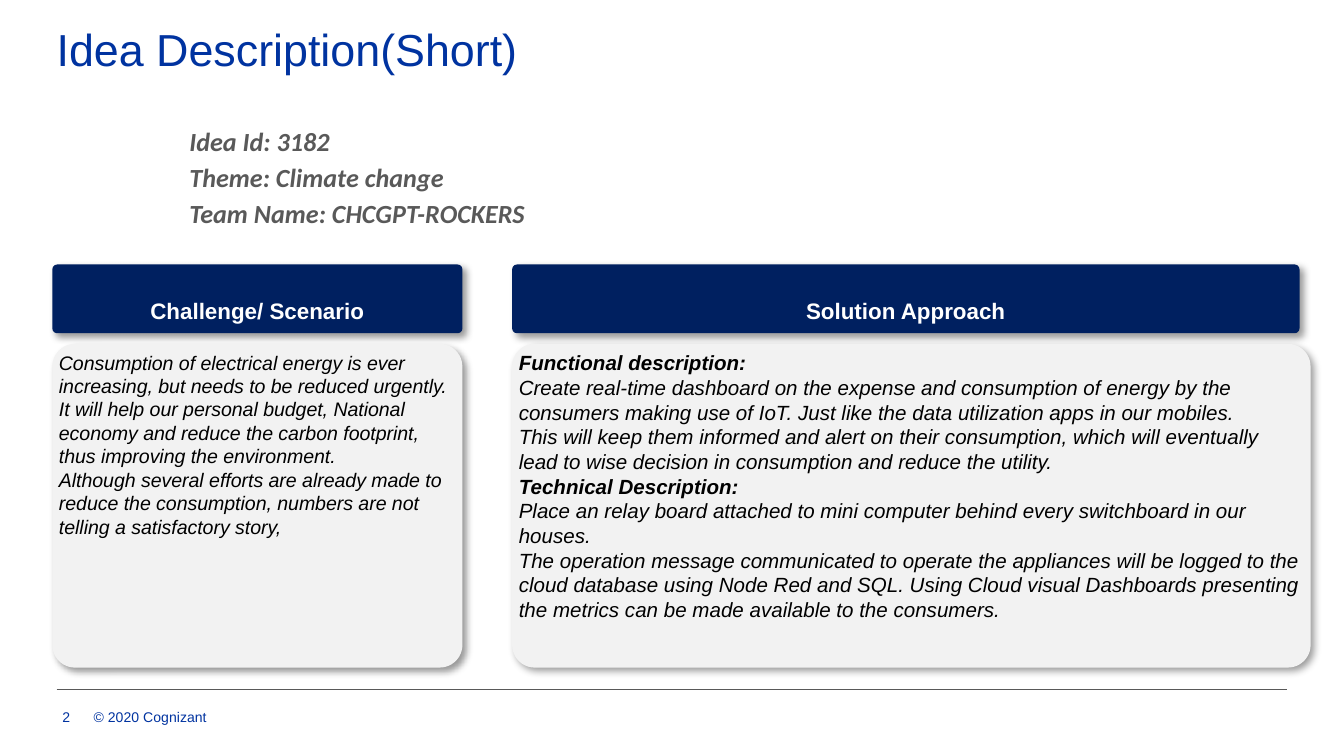
"""Builds the short idea description slide."""
from lxml.etree import SubElement
from pptx import Presentation
from pptx.dml.color import RGBColor
from pptx.enum.shapes import MSO_CONNECTOR, MSO_SHAPE
from pptx.enum.text import MSO_ANCHOR as ANCHOR, MSO_AUTO_SIZE, PP_ALIGN as ALIGN
from pptx.oxml import parse_xml
from pptx.oxml.ns import nsdecls, qn
from pptx.util import Cm, Pt

BLUE = RGBColor(0x00, 0x33, 0xA0)
NAVY = RGBColor(0x00, 0x20, 0x60)
GREY = RGBColor(0x59, 0x59, 0x59)
PALE = RGBColor(0xF2, 0xF2, 0xF2)
BLACK = RGBColor(0x00, 0x00, 0x00)
WHITE = RGBColor(0xFF, 0xFF, 0xFF)

HEADER_TOP, HEADER_HEIGHT = 5, 1.3
BODY_TOP, BODY_HEIGHT = 6.5, 6.12

IDEA = ["Idea Id: 3182", "Theme: Climate change", "Team Name: CHCGPT-ROCKERS"]
CHALLENGE = [
    "Consumption of electrical energy is ever increasing, but needs to be reduced urgently.",
    "It will help our personal budget, National economy and reduce the carbon footprint, "
    "thus improving the environment.",
    "Although several efforts are already made to reduce the consumption, numbers are not "
    "telling a satisfactory story,",
]
SOLUTION_HEADINGS = ["Functional description:", "Technical Description:"]
SOLUTION = [
    SOLUTION_HEADINGS[0],
    "Create real-time dashboard on the expense and consumption of energy by the consumers "
    "making use of IoT. Just like the data utilization apps in our mobiles.",
    "This will keep them informed and alert on their consumption, which will eventually "
    "lead to wise decision in consumption and reduce the utility.",
    SOLUTION_HEADINGS[1],
    "Place an relay board attached to mini computer behind every switchboard in our houses.",
    "The operation message communicated to operate the appliances will be logged to the "
    "cloud database using Node Red and SQL. Using Cloud visual Dashboards presenting the "
    "metrics can be made available to the consumers.",
]


def write(s, lines, size, color, font="Arial", bold=False, italic=False, headings=(),
          align=ALIGN.LEFT, anchor=ANCHOR.TOP, margins=(0, 0, 0, 0), gap=0, spacing=None):
    """Fill a shape with formatted paragraphs; margins are left, top, right, bottom in cm."""
    tf = s.text_frame
    tf.word_wrap = True
    tf.auto_size = MSO_AUTO_SIZE.NONE
    tf.vertical_anchor = anchor
    tf.margin_left, tf.margin_top, tf.margin_right, tf.margin_bottom = map(Cm, margins)
    for i, line in enumerate(lines):
        p = tf.add_paragraph() if i else tf.paragraphs[0]
        p.alignment = align
        if i and gap:
            p.space_before = Pt(gap)
        if spacing:
            p.line_spacing = spacing
        r = p.add_run()
        r.text = line
        r.font.name, r.font.size = font, Pt(size)
        r.font.bold, r.font.italic = bold or line in headings, italic
        r.font.color.rgb = color


def add_text(slide, box, lines, size, color, **fmt):
    """Add a text box at box, given in cm."""
    write(slide.shapes.add_textbox(*map(Cm, box)), lines, size, color, **fmt)


def add_card(slide, box, fill):
    """Add a rounded rectangle with a soft drop shadow."""
    s = slide.shapes.add_shape(MSO_SHAPE.ROUNDED_RECTANGLE, *map(Cm, box))
    s.adjustments[0] = 0.07
    s.fill.solid()
    s.fill.fore_color.rgb = fill
    s.line.fill.background()
    s._element.spPr.append(parse_xml(
        f'<a:effectLst {nsdecls("a")}><a:outerShdw blurRad="{Pt(4)}" dist="{Pt(3)}" '
        'dir="2700000" algn="tl" rotWithShape="0"><a:srgbClr val="000000">'
        '<a:alpha val="40000"/></a:srgbClr></a:outerShdw></a:effectLst>'))
    return s


def add_column(slide, left, header_width, body_width, header, lines, size, headings=()):
    """Add a header card with its body card below."""
    s = add_card(slide, (left, HEADER_TOP, header_width, HEADER_HEIGHT), NAVY)
    write(s, [header], 12, WHITE, bold=True, align=ALIGN.CENTER, anchor=ANCHOR.BOTTOM,
          margins=(0, 0, 0, 0.15))
    s = add_card(slide, (left, BODY_TOP, body_width, BODY_HEIGHT), PALE)
    write(s, lines, size, BLACK, italic=True, headings=headings)


def add_title(slide, text):
    """Place and format the title placeholder."""
    s = slide.shapes.title
    s.left, s.top, s.width, s.height = Cm(1.07), Cm(0.53), Cm(23.29), Cm(1.09)
    write(s, [text], 24, BLUE, spacing=0.9)


def add_footer(slide):
    """Add the rule, page number and copyright line."""
    rule = slide.shapes.add_connector(
        MSO_CONNECTOR.STRAIGHT, Cm(1.07), Cm(13.03), Cm(24.33), Cm(13.03))
    rule.line.color.rgb = GREY
    rule.line.width = Pt(0.5)
    SubElement(rule._element.spPr, qn("a:effectLst"))
    margins = (0.25, 0.13, 0.25, 0.13)
    add_text(slide, (0.56, 13.18, 1.02, 0.76), ["2"], 7.5, BLUE,
             align=ALIGN.RIGHT, anchor=ANCHOR.MIDDLE, margins=margins)
    add_text(slide, (1.52, 13.26, 5, 0.58), ["© 2020 Cognizant"], 7.5, BLUE, margins=margins)


def main():
    """Build and save the slide."""
    prs = Presentation()
    prs.slide_width, prs.slide_height = Cm(25.4), Cm(14.29)
    slide = prs.slides.add_slide(prs.slide_layouts[5])
    add_footer(slide)
    add_title(slide, "Idea Description(Short)")
    add_text(slide, (3.12, 2.24, 21.74, 2.18), IDEA, 14, GREY, font="Calibri",
             bold=True, italic=True, margins=(0.46, 0.13, 0.25, 0.13), gap=2.6)
    add_column(slide, 0.99, 7.75, 7.75, "Challenge/ Scenario", CHALLENGE, 10.5)
    add_column(slide, 9.68, 14.88, 15.09, "Solution Approach", SOLUTION, 11,
               headings=SOLUTION_HEADINGS)
    prs.save("out.pptx")


if __name__ == "__main__":
    main()
